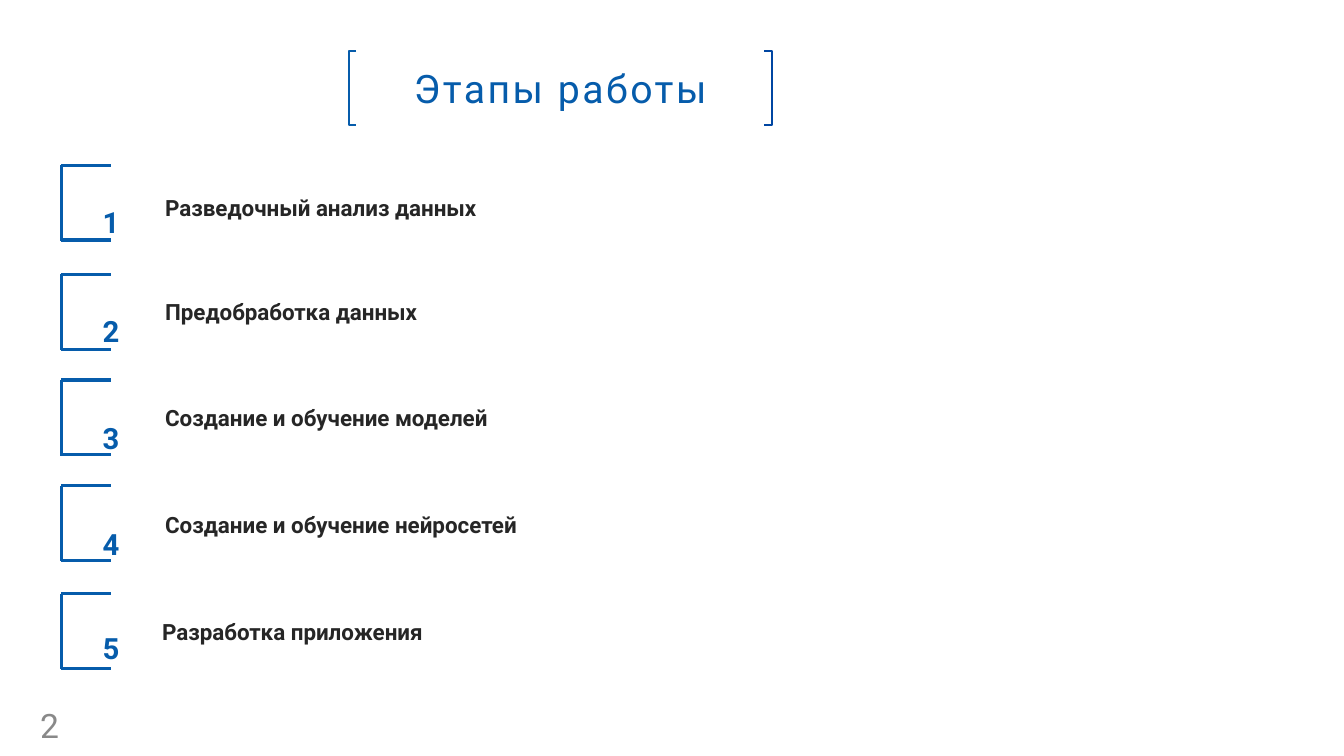
from lxml.etree import SubElement
from pptx import Presentation
from pptx.dml.color import RGBColor
from pptx.enum.shapes import MSO_CONNECTOR, MSO_SHAPE
from pptx.enum.text import MSO_ANCHOR, PP_ALIGN
from pptx.oxml.ns import qn
from pptx.util import Pt

FONT = "Roboto"
BLUE, DEEP_BLUE = "065CAB", "0046A2"
DARK, GREY, WHITE = "262626", "898989", "FFFFFF"

# Step name, bracket top, label left, label top, number top
STEPS = [
    ("Разведочный анализ данных", 118, 110.9, 135.4, 138.2),
    ("Предобработка данных", 196, 110.9, 209.5, 216),
    ("Создание и обучение моделей", 271.5, 110.9, 285.1, 292.3),
    ("Создание и обучение нейросетей", 347, 110.9, 361.4, 367.9),
    ("Разработка приложения", 424, 108.7, 437.8, 442.1),
]


def color(value):
    return RGBColor.from_string(value)


def add_run(p, text, size, rgb, bold=False):
    r = p.add_run()
    r.text = text
    r.font.name, r.font.size, r.font.bold = FONT, Pt(size), bold
    r.font.color.rgb = color(rgb)
    return r


def add_text(s, x, y, w, h, text, size, rgb, bold=False):
    tf = s.shapes.add_textbox(Pt(x), Pt(y), Pt(w), Pt(h)).text_frame
    tf.word_wrap = True
    return tf, add_run(tf.paragraphs[0], text, size, rgb, bold)


def add_line(s, x1, y1, x2, y2):
    sp = s.shapes.add_connector(MSO_CONNECTOR.STRAIGHT, Pt(x1), Pt(y1), Pt(x2), Pt(y2))
    sp.line.color.rgb = color(BLUE)
    sp.line.width = Pt(2.25)
    SubElement(sp._element.spPr, qn("a:effectLst"))


def add_title_bracket(s, edge, tip, top, bottom, rgb):
    fb = s.shapes.build_freeform(Pt(tip), Pt(top))
    fb.add_line_segments([(Pt(edge), Pt(top)), (Pt(edge), Pt(bottom)),
                          (Pt(tip), Pt(bottom))], close=False)
    sp = fb.convert_to_shape()
    sp.shadow.inherit = False
    sp.fill.background()
    sp.line.color.rgb = color(rgb)
    sp.line.width = Pt(1.3)


def add_title(s, x, y, w, h, text):
    # White plate with the heading
    sp = s.shapes.add_shape(MSO_SHAPE.RECTANGLE, Pt(x), Pt(y), Pt(w), Pt(h))
    sp.shadow.inherit = False
    sp.fill.solid()
    sp.fill.fore_color.rgb = color(WHITE)
    sp.line.color.rgb = color(WHITE)
    sp.line.width = Pt(2)
    tf = sp.text_frame
    tf.vertical_anchor = MSO_ANCHOR.MIDDLE
    p = tf.paragraphs[0]
    p.alignment = PP_ALIGN.CENTER
    r = add_run(p, text, 28, BLUE)

    # Letter spacing and outline, which must precede the fill
    rPr = r.font._element
    rPr.set("spc", "180")
    ln = SubElement(rPr, qn("a:ln"), w=str(Pt(0.75)))
    rPr.insert(0, ln)
    fill = SubElement(ln, qn("a:solidFill"))
    SubElement(fill, qn("a:srgbClr"), val=BLUE)

    # Square brackets on both sides
    add_title_bracket(s, x, x + 5.2, y, y + h, BLUE)
    add_title_bracket(s, x + w, x + w - 5.4, y, y + h, DEEP_BLUE)


def add_step(s, x, y, w, h, number, name, label_x, label_y, number_y):
    # Open bracket
    add_line(s, x, y, x, y + h)
    for edge in (y, y + h - 0.6):
        add_line(s, x, edge, x + w, edge)

    # Step name and raised number
    add_text(s, label_x, label_y, 489.6, 26.6, name, 16, DARK, True)
    _, r = add_text(s, x + 22.3, number_y, 85, 36, str(number), 36, BLUE, True)
    r.font._element.set("baseline", "30000")


def add_page_number(s, x, y, w, h, number):
    tf, _ = add_text(s, x, y, w, h, str(number), 24, GREY)
    tf.vertical_anchor = MSO_ANCHOR.MIDDLE


def main():
    prs = Presentation()
    prs.slide_width, prs.slide_height = Pt(960), Pt(540)
    s = prs.slides.add_slide(prs.slide_layouts[6])
    add_title(s, 249.1, 36.7, 302.2, 52.6, "Этапы работы")
    for number, (name, top, label_x, label_y, number_y) in enumerate(STEPS, 1):
        add_step(s, 43.9, top, 35.3, 54, number, name, label_x, label_y, number_y)
    add_page_number(s, 21.6, 506.9, 44.6, 21.6, 2)
    prs.save("out.pptx")


if __name__ == "__main__":
    main()
